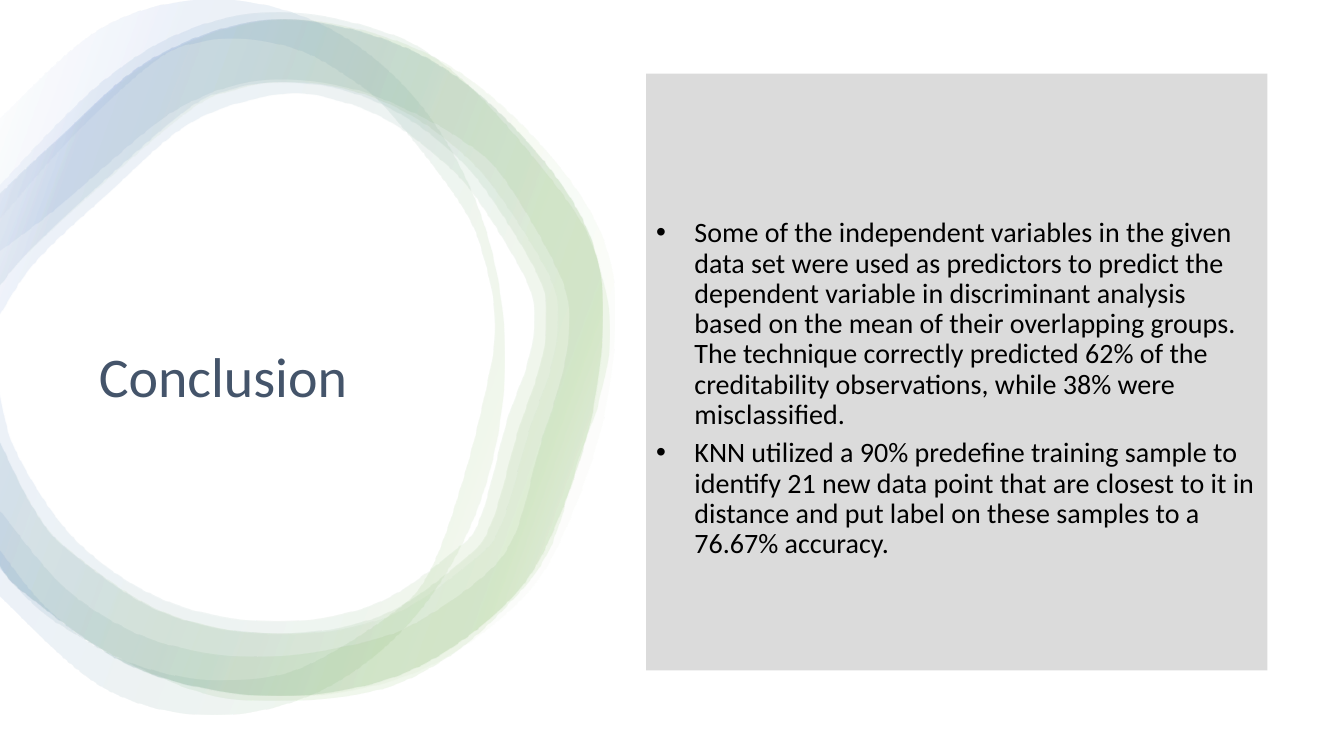
from lxml import etree
from pptx import Presentation
from pptx.dml.color import RGBColor
from pptx.enum.shapes import MSO_SHAPE
from pptx.enum.text import MSO_ANCHOR, MSO_AUTO_SIZE, PP_ALIGN
from pptx.oxml import parse_xml
from pptx.oxml.ns import nsdecls, qn
from pptx.util import Inches, Pt

RECTANGLE = MSO_SHAPE.RECTANGLE
MIDDLE = MSO_ANCHOR.MIDDLE
LEFT = PP_ALIGN.LEFT
NO_AUTOSIZE = MSO_AUTO_SIZE.NONE

TITLE = "Conclusion"
FINDINGS = [
    "Some of the independent variables in the given data set were used as predictors "
    "to predict the dependent variable in discriminant analysis based on the mean of "
    "their overlapping groups. The technique correctly predicted 62% of the creditability "
    "observations, while 38% were misclassified.",
    "KNN utilized a 90% predefine training sample to identify 21 new data point that are "
    "closest to it in distance and put label on these samples to a 76.67% accuracy.",
]

THEME = {
    "font": "Calibri", "title_size": 40, "body_size": 20,
    "title": "44546A", "body": "000000", "panel": "DBDBDB", "background": "FFFFFF",
    "green": "70AD47", "blue": "4472C4", "white": "FFFFFF",
    "ring_opacity": 10, "ring_angle": 200,
}

TITLE_BOX = (0.88, 2.25, 2.95, 3.02)
PANEL_BOX = (6.41, 0.73, 6.16, 5.92)
PANEL_TOP_MARGIN = 0.39
BULLET_INDENT = 0.38

WAVY_OUTER = [
    (-0.01, 1.85), (0.6, 1.2), (1.08, 0.76), (1.65, 0.39), (2.33, 0.16), (3.04, 0.14),
    (3.72, 0.29), (4.23, 0.52), (4.83, 1.04), (5.65, 2.04), (5.93, 2.64), (6.04, 3.3),
    (5.93, 3.97), (5.73, 4.54), (5.44, 5.44), (5.04, 5.98), (4.42, 6.52), (3.65, 6.86),
    (2.5, 6.94), (1.7, 6.76), (0.55, 6.16), (-0.01, 5.62),
]
WAVY_INNER = [
    (-0.01, 5.04), (0.61, 5.79), (1.24, 6.22), (1.8, 6.42), (2.38, 6.5), (2.96, 6.48),
    (3.52, 6.38), (4.06, 6.2), (4.77, 5.72), (5.1, 5.28), (5.34, 4.43), (5.53, 3.83),
    (5.63, 3.3), (5.55, 2.75), (4.98, 1.76), (4.54, 1.37), (4.03, 1.09), (3.52, 0.89),
    (2.98, 0.8), (2.45, 0.82), (1.96, 0.98), (1.49, 1.27), (0.57, 2.06), (-0.01, 2.5),
]
BAND_OUTER = [
    (-0.01, 1.93), (0.55, 1.4), (1.54, 0.56), (2.78, 0.19), (4.17, 0.54), (5.25, 1.43),
    (5.91, 2.53), (5.91, 3.87), (5.53, 5.15), (5.02, 5.98), (3.99, 6.68), (2.7, 6.9),
    (1.36, 6.63), (0.26, 5.89), (-0.01, 5.59),
]
BAND_INNER = [
    (-0.01, 4.35), (0.33, 5.03), (0.69, 5.46), (1.61, 6.07), (2.7, 6.28), (3.76, 6.11),
    (4.59, 5.55), (4.87, 5.18), (5.13, 4.28), (5.34, 3.66), (5.41, 3.2), (5.33, 2.73),
    (4.78, 1.84), (4.34, 1.39), (3.88, 1.08), (3.36, 0.88), (2.78, 0.81), (2.31, 0.88),
    (1.86, 1.08), (0.98, 1.84), (0.28, 2.5), (-0.01, 2.85),
]
THICK_INNER = [
    (-0.01, 3.84), (0.17, 4.49), (0.77, 5.37), (1.66, 5.96), (2.71, 6.16), (3.71, 5.99),
    (4.5, 5.46), (4.76, 5.13), (5.02, 4.18), (5.22, 3.62), (5.29, 3.2), (5.21, 2.77),
    (4.69, 1.92), (4.27, 1.5), (3.82, 1.18), (3.33, 0.99), (2.78, 0.93), (1.9, 1.21),
    (1.07, 1.92), (0.36, 2.59), (-0.01, 3.14),
]
OVAL_OUTER = [
    (0, 1.18), (1.03, 0.27), (2.13, 0), (3.23, 0.27), (4.16, 1.04), (4.78, 2.19),
    (5, 3.54), (4.78, 4.9), (4.16, 6.05), (3.23, 6.82), (2.13, 7.09), (1.03, 6.82),
    (0, 5.91),
]
OVAL_INNER = [
    (0, 5.45), (0.43, 5.99), (0.97, 6.42), (1.58, 6.66), (2.21, 6.74), (2.96, 6.63),
    (3.87, 6.09), (4.25, 5.67), (4.57, 4.8), (4.81, 3.86), (4.9, 3.23), (4.8, 2.6),
    (4.56, 2.03), (3.85, 1.11), (3.43, 0.76), (2.98, 0.51), (2.49, 0.4), (2, 0.42),
    (1.54, 0.61), (0.73, 1.35), (0, 2.18),
]
BAND_STOPS = [(2, "white"), (16, "green"), (85, "blue"), (100, "white")]
RINGS = [
    (WAVY_OUTER, WAVY_INNER, 1, [(37, "green"), (85, "blue"), (100, "white")]),
    (BAND_OUTER, BAND_INNER, 1.02, [(2, "white"), (54, "green"), (100, "white")]),
    (BAND_OUTER, THICK_INNER, 1, BAND_STOPS),
    (BAND_OUTER, BAND_INNER, 1, BAND_STOPS),
    (OVAL_OUTER, OVAL_INNER, 1, [(2, "white"), (16, "green"), (74, "blue"), (100, "white")]),
]


def curve_controls(points):
    padded = [points[0], *points, points[-1]]
    return [
        (tuple(q + (r - p) / 6 for p, q, r in zip(a, b, c)),
         tuple(r - (s - q) / 6 for q, r, s in zip(b, c, d)))
        for a, b, c, d in zip(padded, padded[1:], padded[2:], padded[3:])
    ]


def round_segments(shape, edges):
    controls = curve_controls(edges[0]) + [None] + curve_controls(edges[1])
    origin_x = min(x for edge in edges for x, y in edge)
    origin_y = min(y for edge in edges for x, y in edge)
    lines = list(shape.element.spPr.iter(qn("a:lnTo")))
    for line, handles in zip(lines, controls):
        if handles is None:
            continue
        line.tag = qn("a:cubicBezTo")
        for index, (x, y) in enumerate(handles):
            point = etree.Element(qn("a:pt"))
            point.set("x", str(round(x - origin_x)))
            point.set("y", str(round(y - origin_y)))
            line.insert(index, point)


def add_ring(group, outer, inner, stretch, stops):
    edges = [[(Inches(x * stretch), Inches(y)) for x, y in edge] for edge in (outer, inner)]
    outline = edges[0] + edges[1]
    builder = group.shapes.build_freeform(*outline[0], scale=1.0)
    builder.add_line_segments(outline[1:], close=True)
    shape = builder.convert_to_shape()
    round_segments(shape, edges)
    shape.shadow.inherit = False
    shape.line.fill.background()
    stop_xml = "".join(
        f'<a:gs pos="{position * 1000}"><a:srgbClr val="{THEME[color]}">'
        f'<a:alpha val="{THEME["ring_opacity"] * 1000}"/></a:srgbClr></a:gs>'
        for position, color in stops
    )
    gradient = parse_xml(
        f'<a:gradFill {nsdecls("a")} rotWithShape="1"><a:gsLst>{stop_xml}</a:gsLst>'
        f'<a:lin ang="{THEME["ring_angle"] * 60000}" scaled="0"/></a:gradFill>'
    )
    shape.element.spPr.find(qn("a:custGeom")).addnext(gradient)


def write_text(shape, texts, size, color, bullet=False, top_margin=0.05):
    frame = shape.text_frame
    frame.word_wrap = True
    frame.auto_size = NO_AUTOSIZE
    frame.vertical_anchor = MIDDLE
    frame.margin_left = frame.margin_right = Inches(0.1)
    frame.margin_top, frame.margin_bottom = Inches(top_margin), Inches(0.05)
    for index, text in enumerate(texts):
        paragraph = frame.add_paragraph() if index else frame.paragraphs[0]
        paragraph.alignment = LEFT
        paragraph.line_spacing = 0.9
        paragraph.space_before = Pt(0)
        paragraph.space_after = Pt(6)
        run = paragraph.add_run()
        run.text = text
        run.font.name = THEME["font"]
        run.font.size = Pt(size)
        run.font.color.rgb = RGBColor.from_string(color)
        if bullet:
            properties = paragraph._p.get_or_add_pPr()
            properties.set("marL", str(Inches(BULLET_INDENT)))
            properties.set("indent", str(-Inches(BULLET_INDENT)))
            etree.SubElement(properties, qn("a:buFont")).set("typeface", "Arial")
            etree.SubElement(properties, qn("a:buChar")).set("char", "•")


def main():
    presentation = Presentation()
    presentation.slide_width, presentation.slide_height = Inches(13.33), Inches(7.5)
    slide = presentation.slides.add_slide(presentation.slide_layouts[5])
    background = slide.background.fill
    background.solid()
    background.fore_color.rgb = RGBColor.from_string(THEME["background"])

    rings = slide.shapes.add_group_shape()
    for ring in RINGS:
        add_ring(rings, *ring)

    title = slide.shapes.title
    title.left, title.top, title.width, title.height = map(Inches, TITLE_BOX)
    write_text(title, [TITLE], THEME["title_size"], THEME["title"])

    panel = slide.shapes.add_shape(RECTANGLE, *map(Inches, PANEL_BOX))
    panel.shadow.inherit = False
    panel.fill.solid()
    panel.fill.fore_color.rgb = RGBColor.from_string(THEME["panel"])
    panel.line.fill.background()
    write_text(panel, FINDINGS, THEME["body_size"], THEME["body"],
               bullet=True, top_margin=PANEL_TOP_MARGIN)
    presentation.save("out.pptx")


if __name__ == "__main__":
    main()
